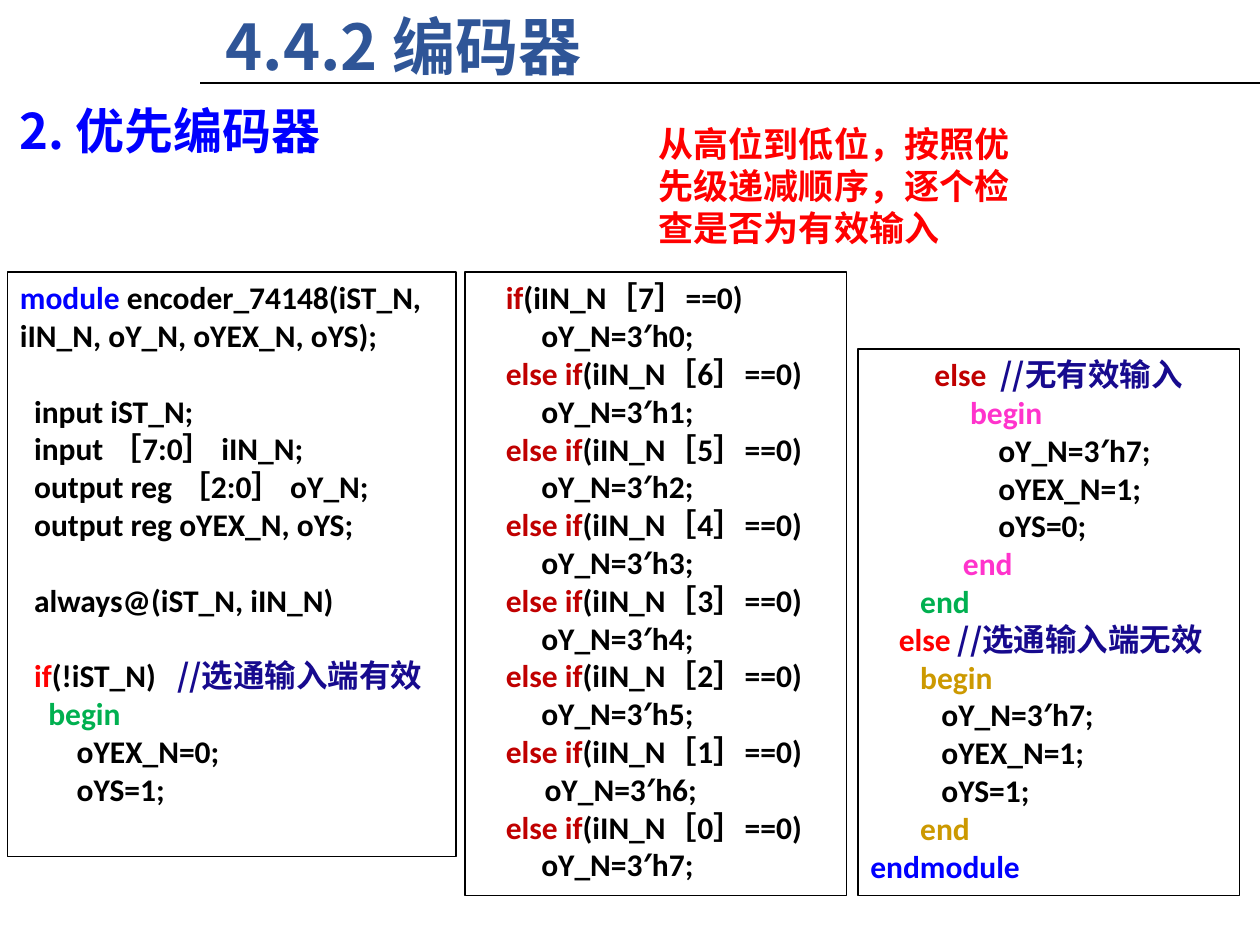
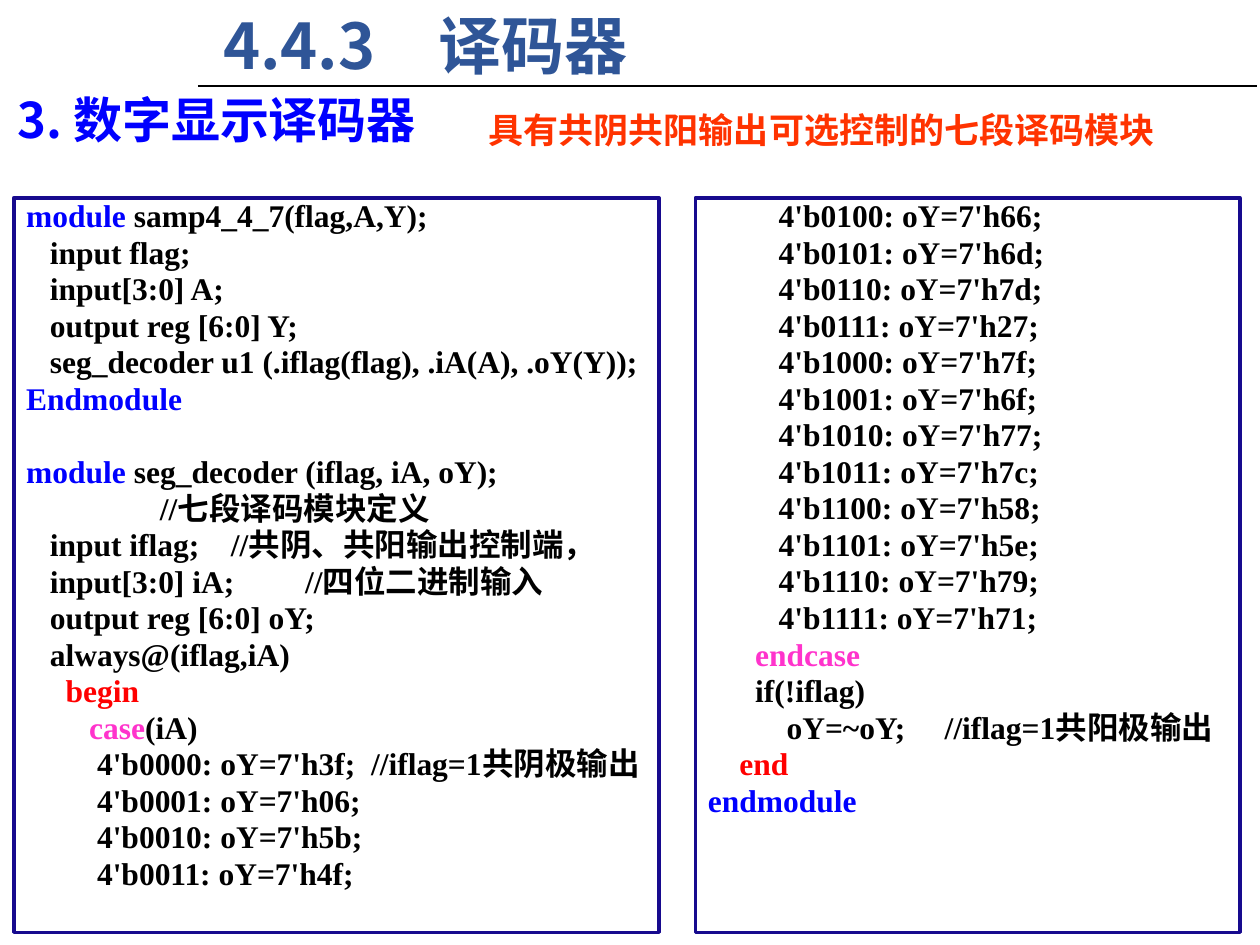
from dataclasses import dataclass

from lxml import etree
from pptx import Presentation
from pptx.dml.color import RGBColor
from pptx.enum import shapes, text
from pptx.oxml import ns
from pptx.util import Inches, Pt

CJK = "Noto Sans CJK SC"
BLACK = RGBColor(0, 0, 0)
BLUE = RGBColor(0, 0, 0xFF)
RED = RGBColor(0xFF, 0, 0)
ORANGE = RGBColor(0xFF, 0x33, 0)
NAVY = RGBColor(0x17, 0x0A, 0x8E)
TITLE_BLUE = RGBColor(0x2F, 0x55, 0x97)
CODE_COLORS = {
    "blue": BLUE,
    "red": RED,
    "note": NAVY,
    "rust": RGBColor(0xC0, 0, 0),
    "green": RGBColor(0, 0xB0, 0x50),
    "pink": RGBColor(0xFF, 0x33, 0xCC),
    "gold": RGBColor(0xCC, 0x99, 0),
}
LINE_PITCH = 1.2  # line height as a share of the text size
CODE_SIZE = 18


@dataclass(frozen=True)
class Area:
    left: float
    top: float
    width: float
    height: float

    def lengths(self) -> tuple:
        return tuple(map(Inches, (self.left, self.top, self.width, self.height)))


@dataclass(frozen=True)
class Label:
    words: str
    area: Area
    size: int
    color: RGBColor
    font: str = CJK
    anchor: text.MSO_ANCHOR = text.MSO_ANCHOR.TOP


@dataclass(frozen=True)
class CodeStyle:
    font: str
    border: RGBColor
    border_width: float
    pitch: float
    gap: float = 0
    hanging: float = 0
    right_inset: float = 0.1


@dataclass(frozen=True)
class CodePanel:
    area: Area
    lines: list[str]


@dataclass(frozen=True)
class CodePage:
    title: Label
    rule: tuple[float, float, float]
    labels: list[Label]
    style: CodeStyle
    panels: list[CodePanel]


WIDE_CODE = CodeStyle("Calibri", BLACK, 0.75, CODE_SIZE * LINE_PITCH, right_inset=0.03)
TIGHT_CODE = CodeStyle("Times New Roman", NAVY, 2, CODE_SIZE * LINE_PITCH * 0.8,
                       gap=CODE_SIZE * 0.2, hanging=0.38)


def add_span(para, words: str, size: int, color: RGBColor, font: str) -> None:
    span = para.add_run()
    span.text = words
    for name, value in {"size": Pt(size), "bold": True, "name": font}.items():
        setattr(span.font, name, value)
    span.font.color.rgb = color
    east_asian = etree.SubElement(span._r.get_or_add_rPr(), ns.qn("a:ea"))
    east_asian.set("typeface", CJK)


def format_frame(frame, anchor, right_inset: float = 0.1) -> None:
    settings = {
        "word_wrap": True, "auto_size": text.MSO_AUTO_SIZE.NONE,
        "vertical_anchor": anchor,
        "margin_left": Inches(0.1), "margin_right": Inches(right_inset),
        "margin_top": Inches(0.05), "margin_bottom": Inches(0.05),
    }
    for name, value in settings.items():
        setattr(frame, name, value)


def fill_label(box, label: Label) -> None:
    box.left, box.top, box.width, box.height = label.area.lengths()
    format_frame(box.text_frame, label.anchor)
    para = box.text_frame.paragraphs[0]
    para.alignment = text.PP_ALIGN.LEFT
    para.line_spacing = Pt(label.size * LINE_PITCH)
    add_span(para, label.words, label.size, label.color, label.font)


def add_code_line(para, line: str, style: CodeStyle) -> None:
    """Write one line; {colour|words} marks coloured words."""
    for index, part in enumerate(line.replace("}", "{").split("{")):
        key, words = part.split("|", 1) if index % 2 else ("", part)
        if words:
            font = CJK if key == "note" else style.font
            add_span(para, words, CODE_SIZE, CODE_COLORS.get(key, BLACK), font)


def add_code_panel(page, panel: CodePanel, style: CodeStyle) -> None:
    """Draw a framed listing; an empty line becomes space above the next one."""
    box = page.shapes.add_shape(shapes.MSO_SHAPE.RECTANGLE, *panel.area.lengths())
    box.shadow.inherit = False
    box.fill.background()
    box.line.color.rgb = style.border
    box.line.width = Pt(style.border_width)
    frame = box.text_frame
    format_frame(frame, text.MSO_ANCHOR.TOP, style.right_inset)
    before = 0
    for index, line in enumerate(panel.lines):
        if not line:
            before += style.pitch + style.gap
            continue
        para = frame.add_paragraph() if index else frame.paragraphs[0]
        para.alignment = text.PP_ALIGN.LEFT
        para.line_spacing = Pt(style.pitch)
        para.space_before = Pt(before)
        if style.hanging:
            props = para._p.get_or_add_pPr()
            props.set("marL", str(Inches(style.hanging)))
            props.set("indent", str(-Inches(style.hanging)))
        add_code_line(para, line, style)
        before = style.gap


def add_rule(page, start: float, end: float, top: float) -> None:
    rule = page.shapes.add_connector(shapes.MSO_CONNECTOR.STRAIGHT, Inches(start),
                                     Inches(top), Inches(end), Inches(top))
    rule.line.color.rgb = BLACK
    rule.line.width = Pt(1.25)
    etree.SubElement(rule._element.spPr, ns.qn("a:effectLst"))


def add_code_page(deck, content: CodePage) -> None:
    page = deck.slides.add_slide(deck.slide_layouts[5])
    fill_label(page.shapes.title, content.title)
    add_rule(page, *content.rule)
    for label in content.labels:
        fill_label(page.shapes.add_textbox(*label.area.lengths()), label)
    for panel in content.panels:
        add_code_panel(page, panel, content.style)


def priority_lines() -> list[str]:
    """Check the inputs from the highest bit down to bit 0."""
    lines = []
    for bit in range(7, -1, -1):
        keyword = "if" if bit == 7 else "else if"
        indent = "　     " if bit == 1 else " " * 9
        lines.append(f"    {{rust|{keyword}}}(iIN_N［{bit}］==0)")
        lines.append(f"{indent}oY_N=3′h{7 - bit};")
    return lines


SEGMENTS = "3f 06 5b 4f 66 6d 7d 27 7f 6f 77 7c 58 5e 79 71".split()
CASES = [f"         4'b{digit:04b}: oY=7'h{code};" for digit, code in enumerate(SEGMENTS)]

ENCODER_HEAD = [
    "{blue|module }encoder_74148(iST_N, iIN_N, oY_N, oYEX_N, oYS);",
    "",
    "  input iST_N;",
    "  input ［7:0］ iIN_N;",
    "  output reg ［2:0］ oY_N;",
    "  output reg oYEX_N, oYS;",
    "",
    "  always@(iST_N, iIN_N)",
    "",
    "  {red|if}(!iST_N)   {note|//选通输入端有效}",
    "    {green|begin}",
    "        oYEX_N=0;",
    "        oYS=1;",
]
ENCODER_TAIL = [
    "         {rust|else  }{note|//无有效输入}",
    "              {pink|begin}",
    "                  oY_N=3′h7;",
    "                  oYEX_N=1;",
    "                  oYS=0;",
    "             {pink|end}",
    "       {green|end}",
    "    {red|else }{note|//选通输入端无效}",
    "       {gold|begin}",
    "          oY_N=3′h7;",
    "          oYEX_N=1;",
    "          oYS=1;",
    "       {gold|end}",
    "{blue|endmodule}",
]
DECODER_HEAD = [
    "{blue|module} samp4_4_7(flag,A,Y);",
    "   input flag;",
    "   input[3:0] A;",
    "   output reg [6:0] Y;",
    "   seg_decoder u1 (.iflag(flag), .iA(A), .oY(Y));",
    "{blue|Endmodule}",
    "",
    "{blue|module }seg_decoder (iflag, iA, oY);",
    "                 //七段译码模块定义",
    "   input iflag;    //共阴、共阳输出控制端，",
    "   input[3:0] iA;         //四位二进制输入",
    "   output reg [6:0] oY;",
    "   always@(iflag,iA)",
    "     {red|begin}",
    "        {pink|case}(iA)",
    CASES[0] + "  //iflag=1共阴极输出",
    *CASES[1:4],
]
DECODER_TAIL = [
    *CASES[4:],
    "      {pink|endcase}",
    "      if(!iflag)",
    "          oY=~oY;     //iflag=1共阳极输出",
    "    {red|end}",
    "{blue|endmodule}",
]

PAGES = [
    CodePage(
        Label("4.4.2 编码器", Area(1.69, 0.01, 5.12, 0.71), 36, TITLE_BLUE),
        (1.59, 10, 0.66),
        [
            Label("2. 优先编码器", Area(0.06, 0.75, 2.86, 0.57), 28, BLUE),
            Label("从高位到低位，按照优先级递减顺序，逐个检查是否为有效输入",
                  Area(5.13, 0.92, 3.09, 1.11), 20, RED),
        ],
        WIDE_CODE,
        [
            CodePanel(Area(0.06, 2.16, 3.56, 4.64), ENCODER_HEAD),
            CodePanel(Area(3.69, 2.16, 3.03, 4.95), priority_lines()),
            CodePanel(Area(6.81, 2.77, 3.03, 4.34), ENCODER_TAIL),
        ],
    ),
    CodePage(
        Label("4.4.3　译码器", Area(1.67, 0, 4.39, 0.71), 36, TITLE_BLUE),
        (1.57, 9.98, 0.68),
        [
            Label("3. 数字显示译码器", Area(0.04, 0.66, 5.47, 0.57), 28, BLUE),
            Label("具有共阴共阳输出可选控制的七段译码模块", Area(3.78, 0.72, 5.76, 0.61),
                  20, ORANGE, "Arial", text.MSO_ANCHOR.MIDDLE),
        ],
        TIGHT_CODE,
        [
            CodePanel(Area(0.11, 1.57, 5.12, 5.83), DECODER_HEAD),
            CodePanel(Area(5.52, 1.57, 4.32, 5.83), DECODER_TAIL),
        ],
    ),
]


def main() -> None:
    deck = Presentation()
    deck.slide_width, deck.slide_height = Inches(10), Inches(7.5)
    for content in PAGES:
        add_code_page(deck, content)
    deck.save("out.pptx")


if __name__ == "__main__":
    main()
